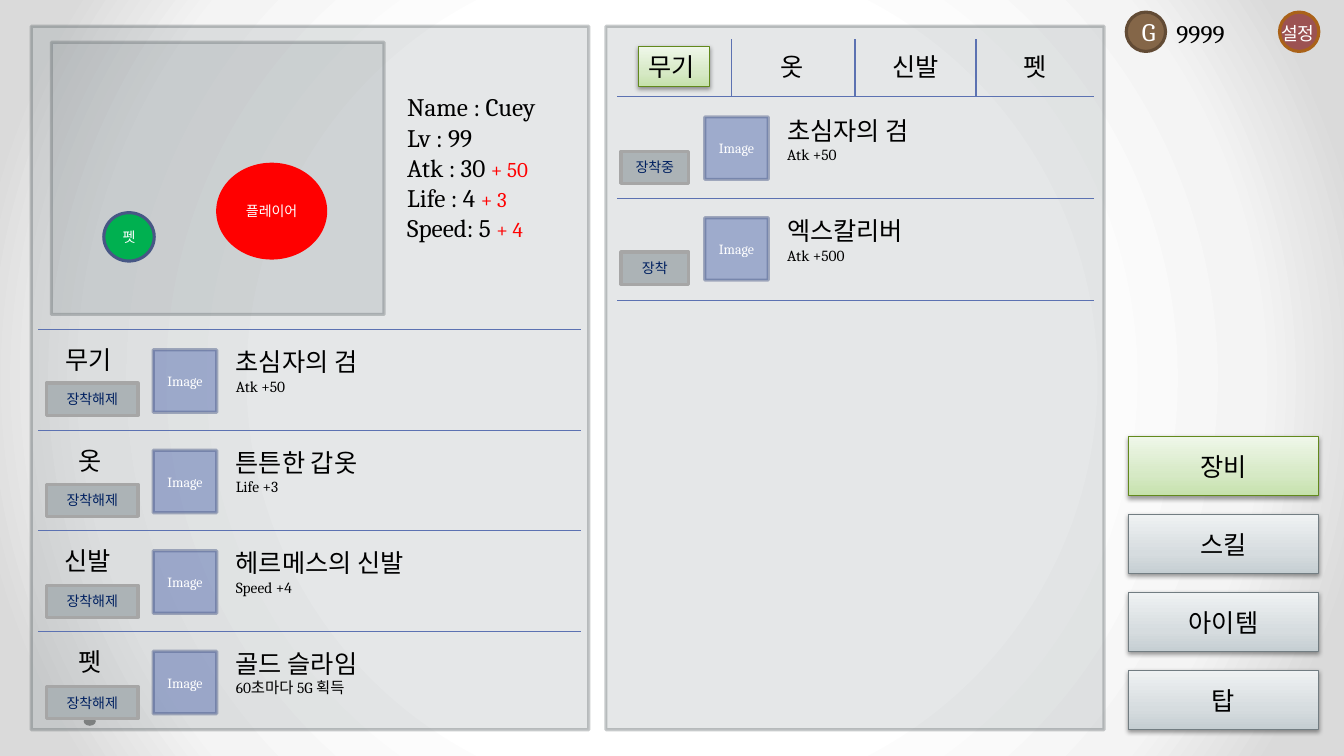
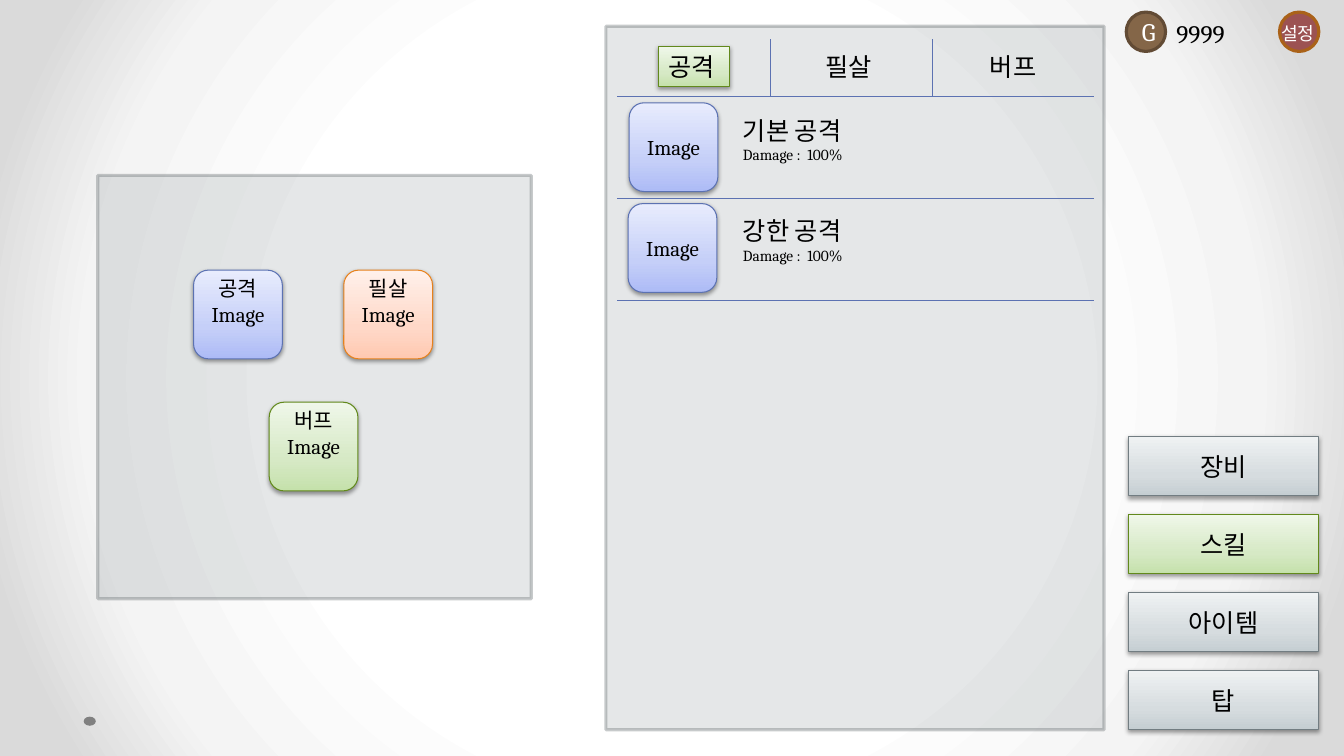
"""Build two game menu screens: equipment and skills."""
from copy import deepcopy

from lxml import etree
from pptx import Presentation
from pptx.dml.color import RGBColor
from pptx.enum import shapes, text
from pptx.oxml.ns import qn
from pptx.util import Inches, Pt

RECT, OVAL, ROUND = (shapes.MSO_SHAPE.RECTANGLE, shapes.MSO_SHAPE.OVAL,
                     shapes.MSO_SHAPE.ROUNDED_RECTANGLE)
FONT, BLACK, WHITE, RED, NAVY, RULE = "Cambria", "000000", "FFFFFF", "FF0000", "002060", "5C72B2"
GREEN = [(0, "C5E1AB"), (35, "D6E9C5"), (100, "EFF7E9")]
GREY = [(0, "C5CED2"), (35, "D6DCDF"), (100, "EFF2F3")]
BLUE = [(0, "ADBBF6"), (35, "C5CFF8"), (100, "E8ECFD")]
ORANGE = [(0, "FFC9B1"), (35, "FFD8C8"), (100, "FFF0EA")]
BACKDROP = [(50, "FFFFFF"), (76, "F4F4F4"), (92, "DADADA")]
LOOKS = {
    "dot": ("808080", None, 0),
    "panel": ("75808530", "575F6254", 2.25),
    "thumb": ("6076B487", "47578570", 2.25),
    "button": ("ACB3B6", "A6A6A6", 2.25),
    "player": (RED, RED, 2.25),
    "pet": ("00B050", "475785", 2.25),
    "coin": ("846648", "624B35", 2.25),
    "settings": ("9C5252", "AA6219", 2.25),
    "green": (GREEN, "62891C", 0.75),
    "grey": (GREY, "727D82", 0.75),
    "blue": (BLUE, RULE, 0.75),
    "orange": (ORANGE, "E6811C", 0.75),
}


def paint(owner, fill, color):
    """Fill with RRGGBB, RRGGBBAA or a list of gradient stops."""
    if isinstance(color, str):
        fill.solid()
        fill.fore_color.rgb = RGBColor.from_string(color[:6])
        if len(color) == 8:
            tone = owner.element.xpath("./p:spPr//a:srgbClr")[-1]
            alpha = etree.SubElement(tone, qn("a:alpha"))
            alpha.set("val", str(round(int(color[6:], 16) / 255 * 100) * 1000))
        return
    fill.gradient()
    stop_list = owner.element.xpath(".//a:gsLst")[0]
    stop_list.append(deepcopy(stop_list[0]))
    for stop, (position, tone) in zip(fill.gradient_stops, color):
        stop.position = position / 100
        stop.color.rgb = RGBColor.from_string(tone)


def add(page, at, look=None, lines=(), kind=RECT, grow=False):
    """Place a shape, or a text box if it has no look."""
    place = [Inches(value) for value in at]
    if look:
        box = page.shapes.add_shape(kind, *place)
        fill, line, width = LOOKS[look]
        paint(box, box.fill, fill)
        if line:
            paint(box, box.line.fill, line)
            box.line.width = Pt(width)
        else:
            box.line.fill.background()
        box.shadow.inherit = False
        if isinstance(fill, list):
            box.fill.gradient_angle = 90
            effects = box.element.xpath("./p:spPr/a:effectLst")[0]
            shadow = etree.SubElement(effects, qn("a:outerShdw"), blurRad="40000",
                                      dist="20000", dir="5400000", rotWithShape="0")
            tone = etree.SubElement(shadow, qn("a:srgbClr"), val=BLACK)
            etree.SubElement(tone, qn("a:alpha"), val="38000")
    else:
        box = page.shapes.add_textbox(*place)
    frame = box.text_frame
    frame.word_wrap = not grow
    centred = look and not grow
    frame.vertical_anchor = text.MSO_ANCHOR.MIDDLE if centred else text.MSO_ANCHOR.TOP
    if not centred:
        frame.auto_size = text.MSO_AUTO_SIZE.SHAPE_TO_FIT_TEXT
    for index, runs in enumerate(lines):
        para = frame.add_paragraph() if index else frame.paragraphs[0]
        para.alignment = text.PP_ALIGN.CENTER if centred else text.PP_ALIGN.LEFT
        for words, size, color in runs:
            span = para.add_run()
            span.text = words
            span.font.name = FONT
            span.font.size = Pt(size)
            paint(box, span.font.fill, color)


deck = Presentation()
deck.slide_width, deck.slide_height = Inches(13.33), Inches(7.5)
master = deck.slide_master
paint(master, master.background.fill, BACKDROP)
backdrop = master.element.xpath(".//p:bgPr/a:gradFill")[0]
for linear in backdrop.findall(qn("a:lin")):
    backdrop.remove(linear)
circle = etree.SubElement(backdrop, qn("a:path"), path="circle")
etree.SubElement(circle, qn("a:fillToRect"), l="50000", t="50000", r="50000", b="50000")

MENU = ["장비", "스킬", "아이템", "탑"]
SCREENS = [
    ("장비", [("무기", 6.33), ("옷", 7.64), ("신발", 8.75), ("펫", 10.05)], [7.26, 8.48, 9.68],
     7.71, [("초심자의 검", "Atk +50"), ("엑스칼리버", "Atk +500")]),
    ("스킬", [("공격", 6.53), ("필살", 8.09), ("버프", 9.72)], [7.64, 9.25],
     7.27, [("기본 공격", "Damage :  100%"), ("강한 공격", "Damage :  100%")]),
]
pages, rules = [], []
for active, tabs, dividers, name_left, entries in SCREENS:
    page = deck.slides.add_slide(deck.slide_layouts[6])
    pages.append(page)
    add(page, (0.83, 7.11, 0.12, 0.09), "dot", kind=OVAL)
    add(page, (6.01, 0.26, 4.94, 6.98), "panel")
    for index, (tab, left) in enumerate(tabs):
        add(page, (left, 0.46, 0.71 if len(tab) == 2 else 0.45, 0.4),
            None if index else "green", [[(tab, 18, BLACK)]], grow=True)
    for row, (name, effect) in enumerate(entries):
        add(page, (name_left, 1.09 + row, 2.8, 0.59),
            lines=[[(name, 18, BLACK)], [(effect, 11, BLACK)]])
    for index, label in enumerate(MENU):
        add(page, (11.19, 4.33 + 0.773 * index, 1.89, 0.59),
            "green" if label == active else "grey", [[(label, 18, BLACK)]])
    add(page, (12.69, 0.12, 0.39, 0.39), "settings", kind=OVAL)
    add(page, (12.61, 0.17, 0.57, 0.32), lines=[[("설정", 13, WHITE)]], grow=True)
    add(page, (11.17, 0.12, 0.39, 0.39), "coin", [[("G", 18, WHITE)]], OVAL)
    add(page, (11.57, 0.13, 0.76, 0.4), lines=[[("9999", 18, BLACK)]], grow=True)
    rules += [(page, 6.12, 0.96 + 1.01 * row, 10.85, 0.96 + 1.01 * row) for row in range(3)]
    rules += [(page, left, 0.39, left, 0.96) for left in dividers]

equipment, skills = pages
thumb_label = [[("Image", 10, WHITE)]]
add(equipment, (0.31, 0.26, 5.53, 6.98), "panel")
add(equipment, (0.51, 0.42, 3.3, 2.7), "panel")
add(equipment, (2.16, 1.63, 1.07, 0.93), "player", [[("플레이어", 10, WHITE)]], OVAL)
add(equipment, (1.03, 2.11, 0.5, 0.48), "pet", [[("펫", 10, WHITE)]], OVAL)
stats = [("Name : Cuey", ""), ("Lv : 99", ""), ("Atk : 30 ", "+ 50"),
         ("Life : 4 ", "+ 3"), ("Speed: 5 ", "+ 4")]
add(equipment, (3.94, 0.86, 1.66, 1.62), grow=True,
    lines=[[(base, 18, BLACK)] + ([(bonus, 15, RED)] if bonus else []) for base, bonus in stats])

worn = [("무기", 0.55, "초심자의 검", "Atk +50"), ("옷", 0.68, "튼튼한 갑옷", "Life +3"),
        ("신발", 0.54, "헤르메스의 신발", "Speed +4"), ("펫", 0.68, "골드 슬라임", "60초마다 5G 획득")]
for row, (slot, left, name, effect) in enumerate(worn):
    top = 3.27 + 0.997 * row
    rules.append((equipment, 0.38, top, 5.76, top))
    add(equipment, (left, top + 0.1, 0.71 if len(slot) == 2 else 0.45, 0.4),
        lines=[[(slot, 18, BLACK)]], grow=True)
    add(equipment, (0.46, 3.8 + 1.003 * row, 0.91, 0.32), "button", [[("장착해제", 10, NAVY)]])
    add(equipment, (1.52, top + 0.2, 0.63, 0.62), "thumb", thumb_label)
    add(equipment, (2.24, top + 0.12, 3.77, 0.59),
        lines=[[(name, 18, BLACK)], [(effect, 11, BLACK)]])
for row, state in enumerate(["장착중", "장착"]):
    add(equipment, (6.99, 1.16 + row, 0.63, 0.62), "thumb", thumb_label)
    add(equipment, (6.16, 1.5 + row, 0.67, 0.32), "button", [[(state, 10, NAVY)]])

add(skills, (0.97, 1.74, 4.3, 4.2), "panel")
tiles = [("blue", 1.92, 2.68, "공격"), ("orange", 3.41, 2.68, "필살"), ("green", 2.67, 3.99, "버프"),
         ("blue", 6.24, 1.02, ""), ("blue", 6.23, 2.02, "")]
for look, left, top, label in tiles:
    add(skills, (left, top, 0.88, 0.88), look, [[("Image", 15, BLACK)]], ROUND)
    if label:
        add(skills, (left + 0.15, top, 0.62, 0.35), lines=[[(label, 15, BLACK)]], grow=True)

for page, *ends in rules:
    rule = page.shapes.add_connector(shapes.MSO_CONNECTOR.STRAIGHT,
                                     *[Inches(value) for value in ends])
    paint(rule, rule.line.fill, RULE)
    rule.line.width = Pt(0.75)
    etree.SubElement(rule.element.spPr, qn("a:effectLst"))

deck.save("out.pptx")
